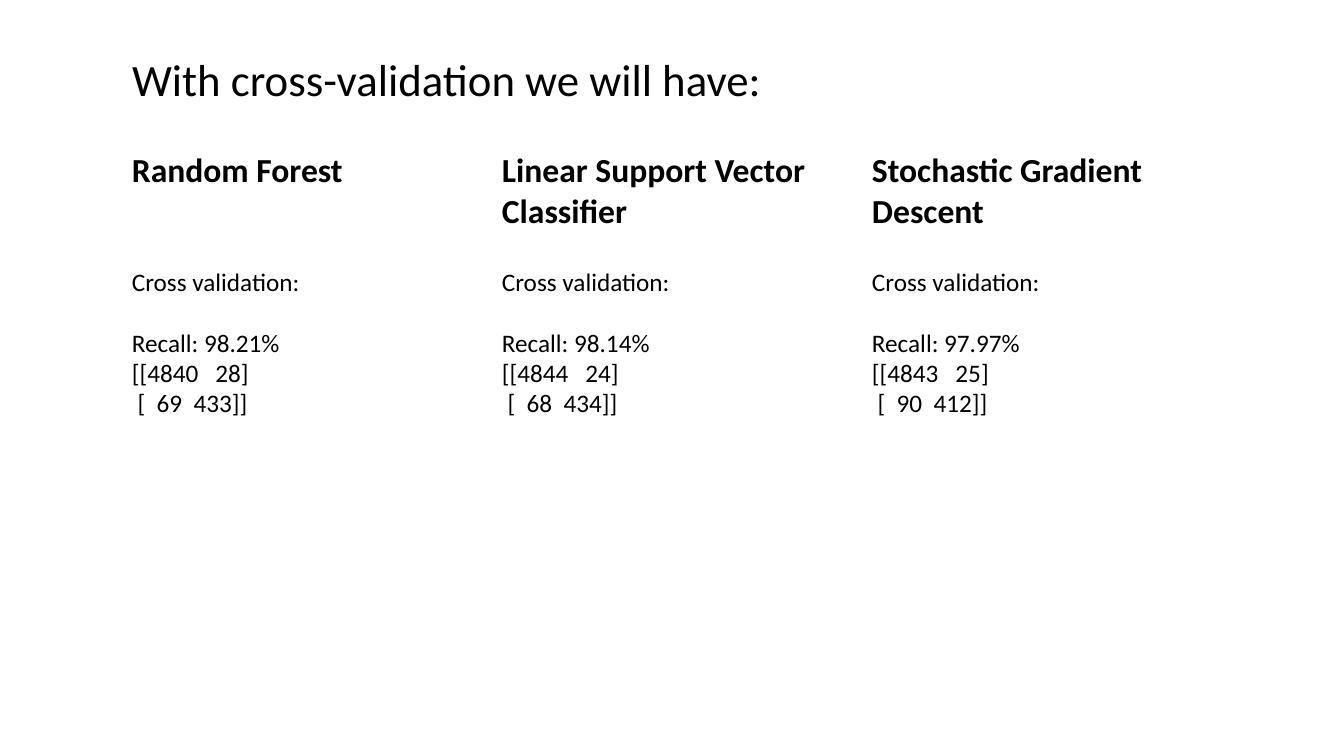
import pptx
import pptx.util
import pptx.dml.color
import pptx.enum.text

COLORS = {"text": "000000", "background": "FFFFFF"}
RESULTS = [
    ("Random Forest", 0.5, "98.21%", "[[4840   28]", " [  69  433]]"),
    ("Linear Support Vector Classifier", 0.91, "98.14%", "[[4844   24]", " [  68  434]]"),
    ("Stochastic Gradient Descent", 0.91, "97.97%", "[[4843   25]", " [  90  412]]"),
]
LEFT, COLUMN_WIDTH, COLUMN_STEP = 1.21, 3.21, 3.67


class SlideBuilder:
    """Holds the text style and the current slide."""

    def __init__(self, prs, font="Calibri"):
        self.font = font
        self.s = prs.slides.add_slide(prs.slide_layouts[5])

    def color(self, name):
        return pptx.dml.color.RGBColor.from_string(COLORS[name])

    def style_text(self, sp, lines, size, bold=False):
        sp.fill.solid()
        sp.fill.fore_color.rgb = self.color("background")
        tf = sp.text_frame
        tf.text = "\n".join(lines)
        tf.word_wrap = True
        tf.auto_size = pptx.enum.text.MSO_AUTO_SIZE.SHAPE_TO_FIT_TEXT
        tf.vertical_anchor = pptx.enum.text.MSO_ANCHOR.TOP
        for p in tf.paragraphs:
            p.alignment = pptx.enum.text.PP_ALIGN.LEFT
            p.font.name = self.font
            p.font.size = pptx.util.Pt(size)
            p.font.bold = bold
            p.font.color.rgb = self.color("text")
        return tf

    def title(self, text, box, size):
        sp = self.s.shapes.title
        sp.left, sp.top, sp.width, sp.height = map(pptx.util.Inches, box)
        self.style_text(sp, [text], size)

    def text(self, lines, box, size, bold=False):
        sp = self.s.shapes.add_textbox(*map(pptx.util.Inches, box))
        return self.style_text(sp, lines, size, bold)


def main():
    prs = pptx.Presentation()
    prs.slide_width = pptx.util.Inches(13.33)
    prs.slide_height = pptx.util.Inches(7.5)
    slide = SlideBuilder(prs)
    slide.title("With cross-validation we will have:", (LEFT, 0.46, 10.56, 0.64), 32)
    for i, (model, height, recall, *matrix) in enumerate(RESULTS):
        x = LEFT + i * COLUMN_STEP
        slide.text([model], (x, 1.43, COLUMN_WIDTH, height), 24, bold=True)
        lines = ["Cross validation:", f"Recall: {recall}", *matrix]
        tf = slide.text(lines, (x, 2.59, COLUMN_WIDTH, 1.62), 18)
        tf.paragraphs[1].space_before = pptx.util.Pt(22)
    prs.save("out.pptx")


if __name__ == "__main__":
    main()
